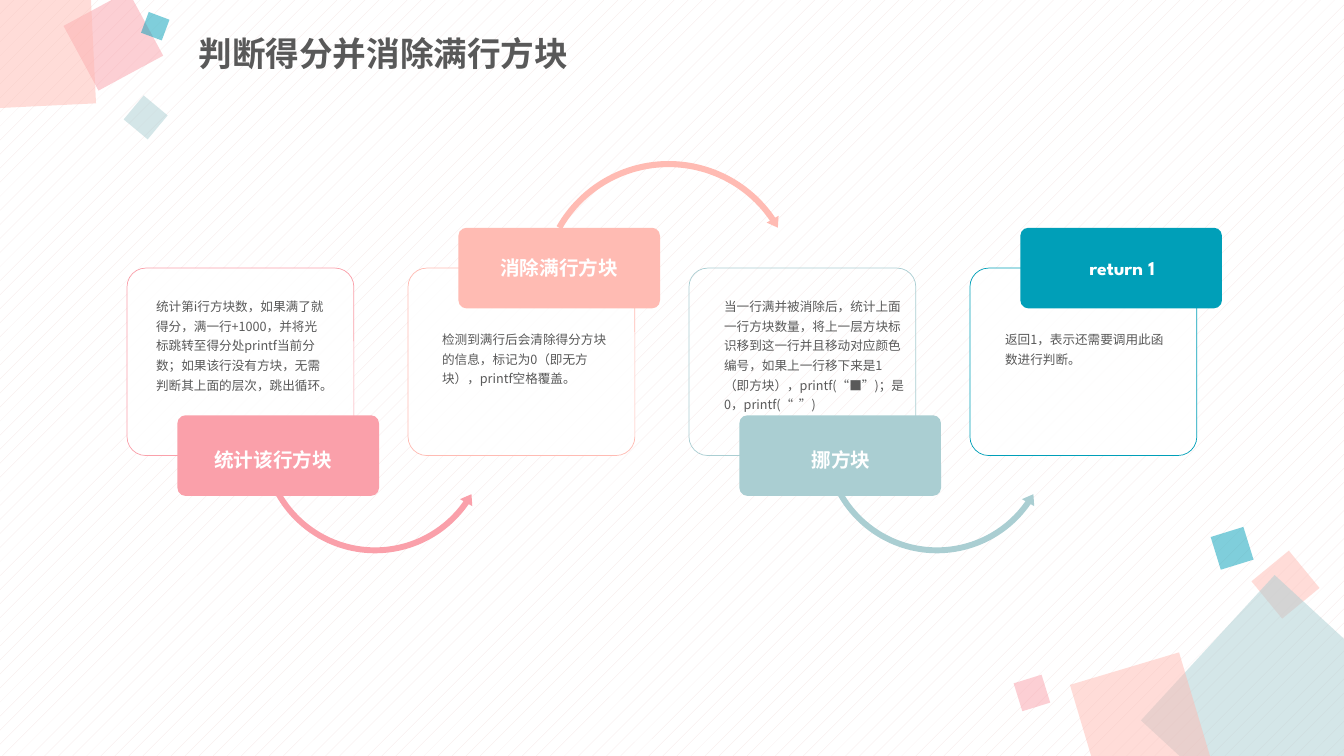
import pptx
import pptx.dml.color
import pptx.enum.dml
import pptx.enum.shapes
import pptx.enum.text
import pptx.oxml
import pptx.oxml.ns
import pptx.util
from pptx.util import Inches

SHAPES = pptx.enum.shapes.MSO_SHAPE
ALIGN = pptx.enum.text.PP_ALIGN
HAN_FONT = "Noto Sans CJK SC"
ROSE, PEACH, MINT, TEAL = "FAA0AA", "FFBBB3", "AACED2", "009FB8"
WHITE, GREY = "FFFFFF", "595959"


def add_filled(kind, left, top, width, height, color, opacity=100):
    shape = slide.shapes.add_shape(
        kind, Inches(left), Inches(top), Inches(width), Inches(height))
    shape.shadow.inherit = False
    shape.line.fill.background()
    shape.fill.solid()
    shape.fill.fore_color.rgb = pptx.dml.color.RGBColor.from_string(color)
    if opacity < 100:
        rgb = shape.fill._xPr.find(".//" + pptx.oxml.ns.qn("a:srgbClr"))
        alpha = pptx.oxml.parse_xml(
            f'<a:alpha {pptx.oxml.ns.nsdecls("a")} val="{opacity * 1000}"/>')
        rgb.append(alpha)
    return shape


def add_text(text, left, top, width, height, size, color, font_name,
             bold=False, spacing=1.3, align=ALIGN.LEFT):
    box = slide.shapes.add_textbox(
        Inches(left), Inches(top), Inches(width), Inches(height))
    box.text_frame.word_wrap = True
    paragraph = box.text_frame.paragraphs[0]
    paragraph.text = text
    paragraph.alignment = align
    paragraph.line_spacing = spacing
    font = paragraph.font
    font.name = font_name
    font.size = pptx.util.Pt(size)
    font.bold = bold
    font.color.rgb = pptx.dml.color.RGBColor.from_string(color)
    east_asian = pptx.oxml.parse_xml(
        f'<a:ea {pptx.oxml.ns.nsdecls("a")} typeface="{HAN_FONT}"/>')
    latin = paragraph._p.find(".//" + pptx.oxml.ns.qn("a:latin"))
    latin.addnext(east_asian)
    return box


presentation = pptx.Presentation()
presentation.slide_width = Inches(13.33)
presentation.slide_height = Inches(7.5)
slide = presentation.slides.add_slide(presentation.slide_layouts[6])

background = slide.background.fill
background.patterned()
background.pattern = pptx.enum.dml.MSO_PATTERN.PERCENT_5
background.fore_color.rgb = pptx.dml.color.RGBColor.from_string("F5E5E4")
background.back_color.rgb = pptx.dml.color.RGBColor.from_string(WHITE)

corner_squares = [
    (12.51, 5.56, 0.48, 320.6, PEACH),
    (11.72, 6.11, 1.96, 42.6, MINT),
    (10.75, 6.61, 1.13, 343.4, PEACH),
    (10.09, 6.73, 0.29, 342.8, ROSE),
    (12.05, 5.27, 0.34, 342.8, TEAL),
    (0.76, 0.04, 0.73, 331.6, ROSE),
    (-0.46, -0.32, 1.38, 357.2, PEACH),
    (1.29, 1.01, 0.31, 309.8, MINT),
    (1.43, 0.15, 0.22, 290.5, TEAL),
]
for left, top, side, angle, color in corner_squares:
    square = add_filled(SHAPES.RECTANGLE, left, top, side, side, color, 50)
    square.rotation = angle

title = add_text("判断得分并消除满行方块", 1.87, 0.26, 6.13, 0.58, 24, GREY,
                 HAN_FONT, bold=True, spacing=0.9)
title.text_frame.vertical_anchor = pptx.enum.text.MSO_ANCHOR.MIDDLE
title.text_frame.paragraphs[0].space_before = pptx.util.Pt(10)

under_arrow = (SHAPES.LEFT_CIRCULAR_ARROW, 1.29, 3.19, 2.34,
               (0.025, 3.094, 20.849, 90.245, 0.03))
over_arrow = (SHAPES.CIRCULAR_ARROW, 1.27, 1.56, 2.63,
              (0.023, 2.738, 195.507, 125.755, 0.026))

steps = [
    ("统计该行方块",
     "统计第i行方块数，如果满了就得分，满一行+1000，并将光标跳转至得分处printf当前分数；"
     "如果该行没有方块，无需判断其上面的层次，跳出循环。",
     ROSE, under_arrow, 0.19, 1.88, 1.07),
    ("消除满行方块",
     "检测到满行后会清除得分方块的信息，标记为0（即无方块），printf空格覆盖。",
     PEACH, over_arrow, 0.24, 1.88, 0.67),
    ("挪方块",
     "当一行满并被消除后，统计上面一行方块数量，将上一层方块标识移到这一行并且移动对应颜色编号，"
     "如果上一行移下来是1（即方块），printf(“■”)；是0，printf(“  ”)",
     MINT, under_arrow, 0.25, 2.01, 1.26),
    ("return 1",
     "返回1，表示还需要调用此函数进行判断。",
     TEAL, None, 0.25, 1.88, 0.48),
]
first_left, last_left = 1.26, 9.62
pitch = (last_left - first_left) / (len(steps) - 1)

for index, (label, detail, color, arrow, inset, width, height) in enumerate(steps):
    left = first_left + index * pitch
    label_below = index % 2 == 0
    label_top = 4.12 if label_below else 2.26

    card = add_filled(SHAPES.ROUNDED_RECTANGLE, left, 2.66, 2.25, 1.86, WHITE, 90)
    card.adjustments[0] = 0.1
    card.line.color.rgb = pptx.dml.color.RGBColor.from_string(color)
    card.line.width = pptx.util.Pt(0.5)
    if color == MINT:
        card.fill.background()

    if arrow:
        kind, offset, arrow_top, side, adjustments = arrow
        curve = add_filled(kind, left + offset, arrow_top, side, side, color)
        for position, value in enumerate(adjustments):
            curve.adjustments[position] = value

    plate = add_filled(SHAPES.ROUNDED_RECTANGLE, left + 0.5, label_top, 2, 0.8, color)
    plate.adjustments[0] = 0.1

    text_left = left + inset
    add_text(detail, text_left, 2.87 if label_below else 3.2, width, height,
             9, GREY, HAN_FONT)
    add_text(label, text_left + 0.32, 4.32 if label_below else 2.42, 1.88, 0.37,
             14, WHITE, "League Spartan", bold=True, align=ALIGN.CENTER)

presentation.save("out.pptx")
